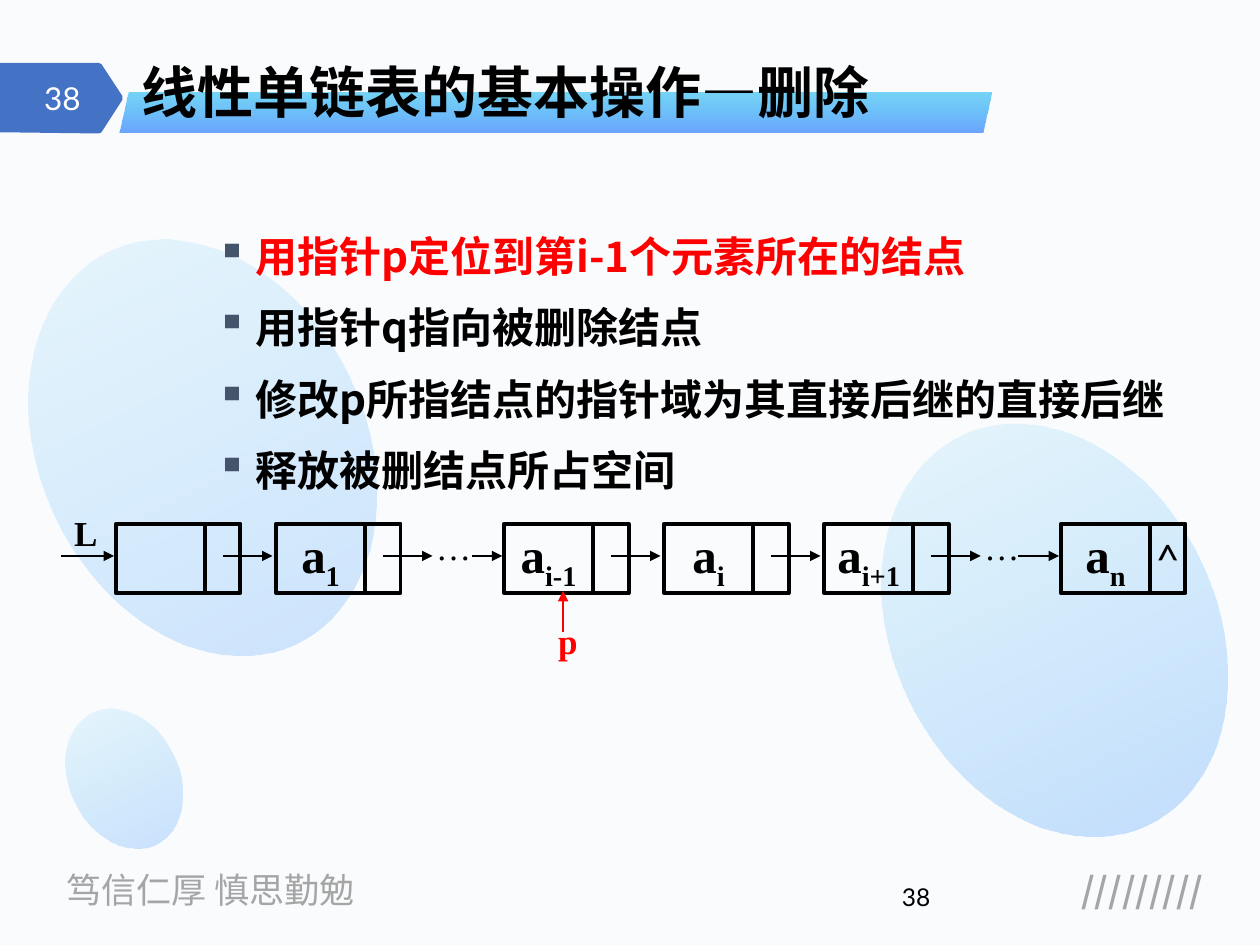
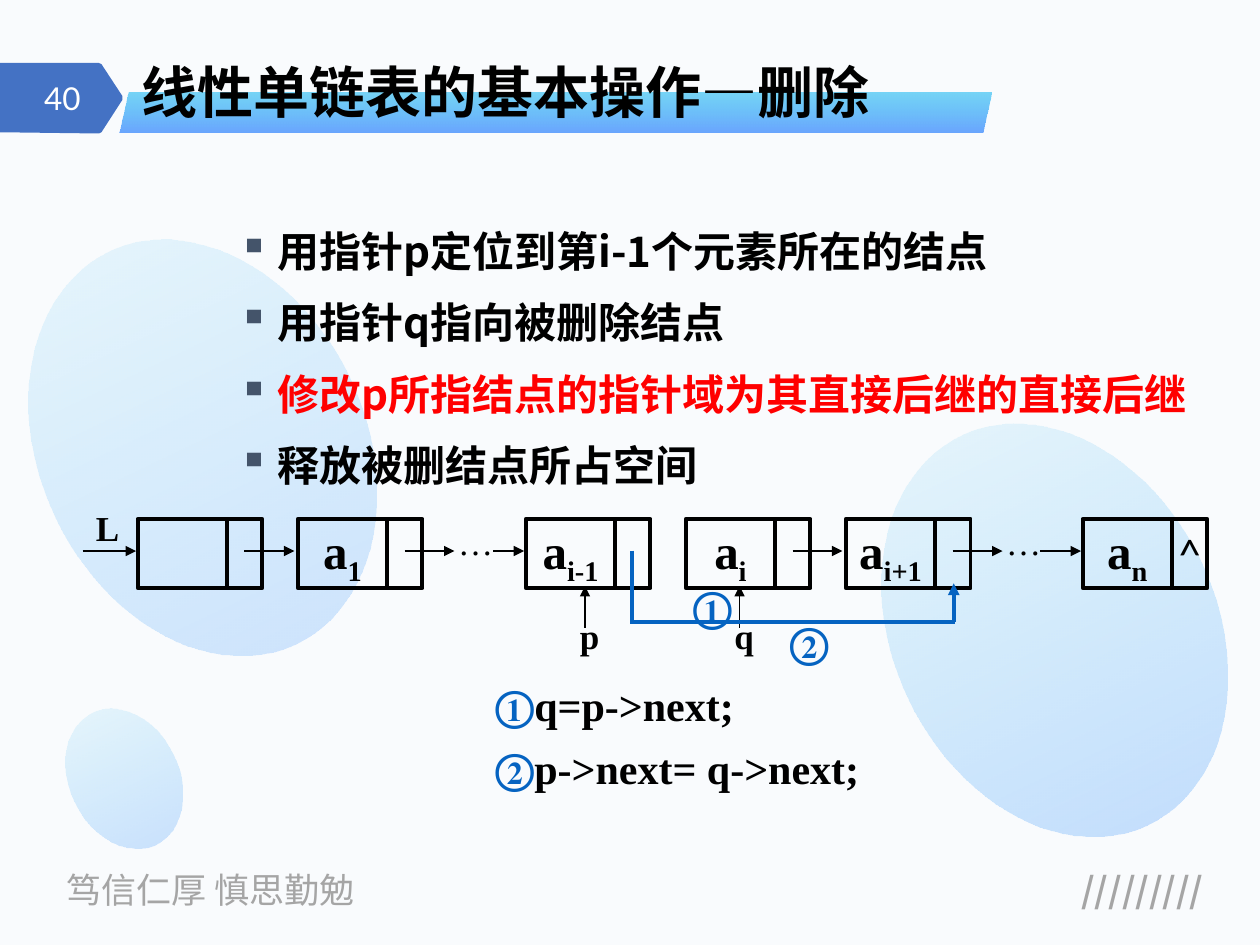
from lxml.etree import SubElement
from pptx import Presentation
from pptx.dml.color import RGBColor
from pptx.enum.shapes import MSO_CONNECTOR, MSO_SHAPE
from pptx.enum.text import MSO_ANCHOR, PP_ALIGN
from pptx.oxml.ns import qn
from pptx.util import Pt

CJK, SERIF, SANS = "Noto Sans CJK SC", "Times New Roman", "Lato"
BLACK, RED, GREY, BLUE = "000000", "FF0000", "A5A5A5", "0563C1"
NAVY, SLATE, WHITE, PAPER = "4472C4", "44546A", "FFFFFF", "F9FBFD"
SKY, AZURE = "00B0F0", "3385FF"

TITLE = "线性单链表的基本操作—删除"
MOTTO, SLASHES = "笃信仁厚 慎思勤勉", "/////////"
STEPS = [
    "用指针p定位到第i-1个元素所在的结点",
    "用指针q指向被删除结点",
    "修改p所指结点的指针域为其直接后继的直接后继",
    "释放被删结点所占空间",
]
NODES = {"head": 66.2, "1": 157.7, "i-1": 288, "i": 379.4, "i+1": 470.9, "n": 606.2}
INCOMING = {"head": 30.5, "i-1": 17.5, "n": 23.5}
ELLIPSIS_AFTER = ("1", "i+1")
CODE = [("①", "q=p->next;", 384.5), ("②", "p->next= q->next;", 420.5)]
MARKS = [("①", 388.8, 328.3), ("②", 444.2, 348.5)]
BYPASS = [(361.4, 314.6, 361.4, 354.2), (360, 355.7, 545.8, 355.7), (545, 355.7, 545, 333.4)]
BADGE = [(0, 36), (56.5, 36), (58, 36.7), (70, 55), (70, 57), (58, 75.6), (56.5, 76.3), (0, 75.6)]
BUBBLES = [
    (39.6, 403.2, 62.6, 83.5, 24),
    (510.5, 236.9, 184.3, 246.2, 27),
    (23, 131.8, 185.8, 247.7, 22),
]
SLIDES = [
    {"number": "38", "active": 0, "shift": (0, 0), "pointers": [("p", 321.8, RED)],
     "footer_number": True, "bypass": False},
    {"number": "40", "active": 2, "shift": (12.5, -2.8),
     "pointers": [("p", 321.8, BLACK), ("q", 410.1, BLACK)],
     "footer_number": False, "bypass": True},
]
NODE_TOP, NODE_HEIGHT, DATA_WIDTH, LINK_WIDTH = 299.3, 39.6, 51, 20.2
ARROW_Y, LINK_START, LINK_LENGTH = 317.7, 61, 28.5


def rgb(value):
    """Turn a hex string into a colour."""
    return RGBColor.from_string(value)


def style_run(run, size, font, color, bold=False, baseline=None):
    """Format one run, including its East Asian font."""
    run.font.size, run.font.bold, run.font.name = Pt(size), bold, font
    run.font.color.rgb = rgb(color)
    properties = run._r.get_or_add_rPr()
    properties.find(qn("a:latin")).addnext(properties.makeelement(qn("a:ea"), {"typeface": font}))
    if baseline:
        properties.set("baseline", str(baseline))


def add_text(slide, box, text, size, font, color=BLACK, bold=False, align=PP_ALIGN.LEFT,
             anchor=MSO_ANCHOR.TOP, wrap=True):
    """Add a one-line text box and return its paragraph."""
    frame = slide.shapes.add_textbox(*map(Pt, box)).text_frame
    frame.word_wrap, frame.vertical_anchor = wrap, anchor
    paragraph = frame.paragraphs[0]
    paragraph.text, paragraph.alignment = text, align
    style_run(paragraph.runs[0], size, font, color, bold)
    return paragraph


def add_gradient(slide, kind, box, stops):
    """Add an unlined shape with a vertical transparent gradient."""
    shape = slide.shapes.add_shape(kind, *map(Pt, box))
    shape.shadow.inherit = False
    shape.fill.gradient()
    shape.fill.gradient_angle = 270
    for stop, (color, opacity) in zip(shape.fill.gradient_stops, stops):
        stop.color.rgb = rgb(color)
    for element, (color, opacity) in zip(shape.element.iter(qn("a:srgbClr")), stops):
        SubElement(element, qn("a:alpha"), val=str(opacity * 1000))
    shape.line.fill.background()
    return shape


def add_line(slide, ends, color=BLACK, width=0.75, arrow=True):
    """Draw a straight line, with an arrowhead at its end if wanted."""
    line = slide.shapes.add_connector(MSO_CONNECTOR.STRAIGHT, *map(Pt, ends))
    line.line.color.rgb, line.line.width = rgb(color), Pt(width)
    if arrow:
        SubElement(line.line._get_or_add_ln(), qn("a:tailEnd"), type="triangle")
    SubElement(line.element.spPr, qn("a:effectLst"))


def add_decoration(slide, number):
    """Draw the motto, bubbles, page badge and title band."""
    add_text(slide, (31, 492.5, 194.4, 31.7), MOTTO, 20, CJK, GREY)
    add_text(slide, (552.2, 492.5, 142.6, 31.7), SLASHES, 20, CJK, GREY, True, PP_ALIGN.RIGHT)
    for *box, opacity in BUBBLES:
        bubble = add_gradient(slide, MSO_SHAPE.OVAL, box, [(AZURE, opacity), (SKY, 8)])
        bubble.rotation = 154.4
    builder = slide.shapes.build_freeform(Pt(BADGE[0][0]), Pt(BADGE[0][1]))
    builder.add_line_segments([(Pt(x), Pt(y)) for x, y in BADGE[1:]], close=True)
    badge = builder.convert_to_shape()
    badge.shadow.inherit = False
    badge.fill.solid()
    badge.fill.fore_color.rgb = rgb(NAVY)
    badge.line.fill.background()
    add_text(slide, (7.2, 41.8, 46, 28.8), number, 18, SANS, WHITE,
             align=PP_ALIGN.RIGHT, anchor=MSO_ANCHOR.MIDDLE)
    band = add_gradient(slide, MSO_SHAPE.PARALLELOGRAM, (68.4, 52.6, 498.2, 23),
                        [(SKY, 52), (AZURE, 73)])
    band.adjustments[0] = 0.233


def add_title(slide):
    """Fill the title placeholder and bring it above the band."""
    title = slide.shapes.title
    title.left, title.top, title.width, title.height = map(Pt, (73.4, 28.8, 493.2, 46.8))
    title.text_frame.text = TITLE
    title.text_frame.vertical_anchor = MSO_ANCHOR.BOTTOM
    paragraph = title.text_frame.paragraphs[0]
    paragraph.alignment, paragraph.line_spacing = PP_ALIGN.LEFT, 0.9
    style_run(paragraph.runs[0], 32, CJK, BLACK, True)
    slide.shapes.element.append(title.element)


def add_steps(slide, active, dx, dy):
    """List the steps with the active one in red."""
    frame = slide.shapes.add_textbox(Pt(80.6 + dx), Pt(126 + dy), Pt(612), Pt(324)).text_frame
    frame.word_wrap = True
    for index, step in enumerate(STEPS):
        paragraph = frame.add_paragraph() if index else frame.paragraphs[0]
        paragraph.text = step
        paragraph.level = 1
        properties = paragraph._p.get_or_add_pPr()
        properties.set("marL", str(Pt(58.3)))
        properties.set("indent", str(Pt(-22.3)))
        SubElement(SubElement(properties, qn("a:buClr")), qn("a:srgbClr"), val=SLATE)
        SubElement(properties, qn("a:buChar"), char="▪")
        paragraph.line_spacing = Pt(30.8)
        if index:
            paragraph.space_before = Pt(10)
        style_run(paragraph.runs[0], 24, CJK, RED if index == active else BLACK, True)


def add_cell(slide, left, top, width, parts=()):
    """Draw one outlined cell holding formatted text parts."""
    cell = slide.shapes.add_shape(MSO_SHAPE.RECTANGLE, *map(Pt, (left, top, width, NODE_HEIGHT)))
    cell.shadow.inherit = False
    cell.fill.background()
    cell.line.color.rgb, cell.line.width = rgb(BLACK), Pt(2.25)
    frame = cell.text_frame
    frame.word_wrap, frame.vertical_anchor = False, MSO_ANCHOR.MIDDLE
    frame.paragraphs[0].alignment = PP_ALIGN.CENTER
    for text, *style in parts:
        run = frame.paragraphs[0].add_run()
        run.text = text
        style_run(run, *style)


def add_linked_list(slide, dx, dy, bypass):
    """Draw the nodes, their links and the ellipses."""
    arrow_y = ARROW_Y + dy
    for name, position in NODES.items():
        left, top = position + dx, NODE_TOP + dy
        label = [("a", 28, SERIF, BLACK, True), (name, 28, SERIF, BLACK, True, -25000)]
        add_cell(slide, left, top, DATA_WIDTH, [] if name == "head" else label)
        end_mark = [("^", 24, SANS, BLACK)] if name == "n" else []
        add_cell(slide, left + DATA_WIDTH, top, LINK_WIDTH, end_mark)
        if name in INCOMING:
            add_line(slide, (left - 1 - INCOMING[name], arrow_y, left - 1, arrow_y))
        if name != "n" and not (bypass and name == "i-1"):
            start = left + LINK_START
            add_line(slide, (start, arrow_y, start + LINK_LENGTH, arrow_y))
        if name in ELLIPSIS_AFTER:
            add_text(slide, (left + 84.5, top - 2.8, 54, 31), "…", 20, SERIF)
    add_text(slide, (35.3 + dx, 288.7 + dy, 28, 31), "L", 20, SERIF, bold=True, wrap=False)


def add_pointers(slide, pointers, dx, dy):
    """Draw the named pointers below the nodes."""
    for name, position, color in pointers:
        x = position + dx
        add_line(slide, (x, 361.4 + dy, x, 337.7 + dy), color, 1)
        add_text(slide, (x - 10, 350.6 + dy, 30.2, 31), name, 20, SERIF, color, True)


def add_bypass(slide):
    """Draw the new link with its step marks and code."""
    for ends in BYPASS:
        add_line(slide, ends, BLUE, 2.25, arrow=ends == BYPASS[-1])
    for mark, left, top in MARKS:
        add_text(slide, (left, top, 38.9, 36), mark, 24, SERIF, BLUE, True, wrap=False)
    for mark, code, top in CODE:
        paragraph = add_text(slide, (275.8, top, 329.8, 36), mark, 24, SERIF, BLUE, True)
        run = paragraph.add_run()
        run.text = code
        style_run(run, 24, SERIF, BLACK, True)


def main():
    """Build and save the presentation."""
    presentation = Presentation()
    presentation.slide_width, presentation.slide_height = Pt(720), Pt(540)
    background = presentation.slide_master.background.fill
    background.solid()
    background.fore_color.rgb = rgb(PAPER)
    for content in SLIDES:
        slide = presentation.slides.add_slide(presentation.slide_layouts[5])
        add_decoration(slide, content["number"])
        add_steps(slide, content["active"], *content["shift"])
        add_linked_list(slide, *content["shift"], content["bypass"])
        add_pointers(slide, content["pointers"], *content["shift"])
        if content["bypass"]:
            add_bypass(slide)
        if content["footer_number"]:
            add_text(slide, (508.3, 500.4, 162, 28.8), content["number"], 14, SANS)
        add_title(slide)
    presentation.save("out.pptx")


if __name__ == "__main__":
    main()
